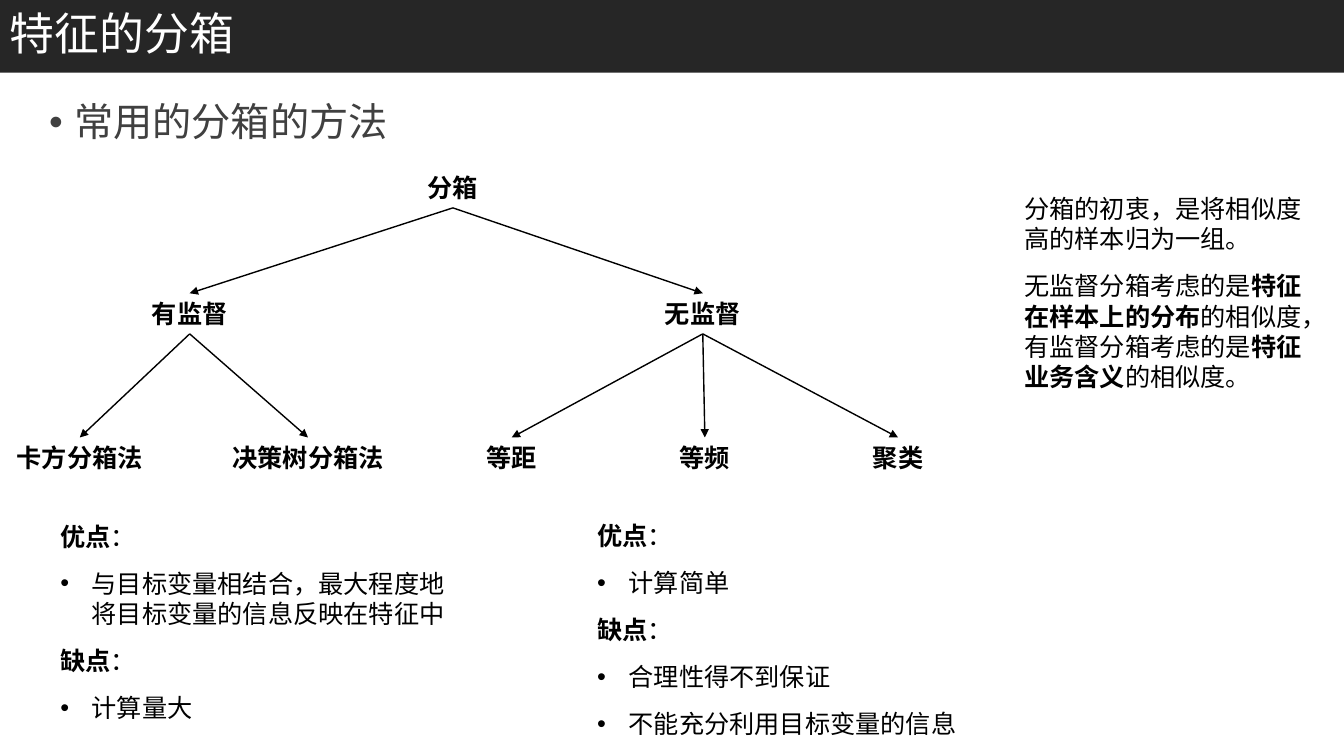
from lxml import etree
from pptx import Presentation
from pptx.dml.color import RGBColor
from pptx.enum.shapes import MSO_CONNECTOR, MSO_SHAPE
from pptx.enum.text import MSO_ANCHOR, MSO_AUTO_SIZE, PP_ALIGN
from pptx.oxml.ns import qn
from pptx.util import Pt

STRAIGHT = MSO_CONNECTOR.STRAIGHT
RECTANGLE = MSO_SHAPE.RECTANGLE
MIDDLE = MSO_ANCHOR.MIDDLE
FIT_SHAPE = MSO_AUTO_SIZE.SHAPE_TO_FIT_TEXT
LEFT, CENTER = PP_ALIGN.LEFT, PP_ALIGN.CENTER
BOTTOM_SITE, TOP_SITE = 2, 0

BODY_FONT, HEADING_FONT = "Calibri", "Noto Sans CJK SC"
BLACK, WHITE, BAND, GRAY = "000000", "FFFFFF", "262626", "404040"
LABEL_SIZE, LABEL_HEIGHT, LABEL_MARGINS = 18, 29, 15

TREE = ("分箱", 323.5, [
    ("有监督", 135.5, [("卡方分箱法", 57, []), ("决策树分箱法", 220, [])]),
    ("无监督", 502, [("等距", 365.5, []), ("等频", 503.5, []), ("聚类", 641.5, [])]),
])
LEVEL_TOPS = [119.5, 209.5, 312.5]

SUPERVISED = [("优点", ["与目标变量相结合，最大程度地将目标变量的信息反映在特征中"]),
              ("缺点", ["计算量大"])]
UNSUPERVISED = [("优点", ["计算简单"]),
                ("缺点", ["合理性得不到保证", "不能充分利用目标变量的信息"])]
REMARKS = [
    [("分箱的初衷，是将相似度高的样本归为一组。", False)],
    [("无监督分箱考虑的是", False), ("特征在样本上的分布", True),
     ("的相似度，有监督分箱考虑的是", False), ("特征业务含义", True), ("的相似度。", False)],
]


def color(value):
    """Turn a hex string into a colour."""
    return RGBColor.from_string(value)


def add_span(para, text, size=LABEL_SIZE, font=BODY_FONT, ink=BLACK, bold=False):
    """Append one formatted run to a paragraph."""
    span = para.add_run()
    span.text = text
    span.font.size = Pt(size)
    span.font.name = font
    span.font.bold = bold
    span.font.color.rgb = color(ink)
    etree.SubElement(span.font._element, qn("a:ea"), typeface=font)


def add_bullet(para, indent):
    """Give a paragraph a round bullet with a hanging indent."""
    properties = para._p.get_or_add_pPr()
    properties.set("marL", str(Pt(indent)))
    properties.set("indent", str(-Pt(indent)))
    etree.SubElement(properties, qn("a:buFont"), typeface="Arial")
    etree.SubElement(properties, qn("a:buChar"), char="•")


def add_text_box(page, left, top, width, height, wrap=True):
    """Add an empty text box and return it."""
    box = page.shapes.add_textbox(Pt(left), Pt(top), Pt(width), Pt(height))
    box.text_frame.word_wrap = wrap
    return box


def add_title(page, left, top, width, height):
    """Draw the dark title band."""
    band = page.shapes.add_shape(RECTANGLE, Pt(left), Pt(top), Pt(width), Pt(height))
    band.shadow.inherit = False
    band.fill.solid()
    band.fill.fore_color.rgb = color(BAND)
    band.line.fill.background()
    band.text_frame.vertical_anchor = MIDDLE
    para = band.text_frame.paragraphs[0]
    para.alignment = LEFT
    para.line_spacing = 0.9
    add_span(para, "特征的分箱", 32, HEADING_FONT, WHITE)


def add_heading(page, left, top, width, height):
    """Write the bulleted heading."""
    para = add_text_box(page, left, top, width, height).text_frame.paragraphs[0]
    para.line_spacing = 0.9
    add_bullet(para, 18)
    add_span(para, "常用的分箱的方法", 28, HEADING_FONT, GRAY)


def add_arrow(page, parent, child):
    """Join a parent label to a child label with an arrow."""
    arrow = page.shapes.add_connector(STRAIGHT, 0, 0, 0, 0)
    arrow.begin_connect(parent, BOTTOM_SITE)
    arrow.end_connect(child, TOP_SITE)
    arrow.line.width = Pt(1)
    arrow.line.color.rgb = color(BLACK)
    etree.SubElement(arrow.line._get_or_add_ln(), qn("a:tailEnd"), type="triangle")
    etree.SubElement(arrow._element.spPr, qn("a:effectLst"))


def add_tree(page, node, level=0):
    """Draw a node, its children and the arrows between them."""
    name, middle, children = node
    width = LABEL_SIZE * len(name) + LABEL_MARGINS
    label = add_text_box(page, middle - width / 2, LEVEL_TOPS[level],
                         width, LABEL_HEIGHT, wrap=False)
    label.text_frame.auto_size = FIT_SHAPE
    para = label.text_frame.paragraphs[0]
    para.alignment = CENTER
    add_span(para, name, bold=True)
    for child in children:
        add_arrow(page, label, add_tree(page, child, level + 1))
    return label


def add_paragraph(frame, first):
    """Return the next evenly spaced paragraph of a text frame."""
    para = frame.paragraphs[0] if first else frame.add_paragraph()
    para.space_before = Pt(0 if first else 6)
    para.space_after = Pt(6)
    return para


def add_comparison(page, left, top, width, height, sections):
    """List advantages and drawbacks of one family of methods."""
    frame = add_text_box(page, left, top, width, height).text_frame
    for index, (heading, points) in enumerate(sections):
        para = add_paragraph(frame, index == 0)
        add_span(para, heading, bold=True)
        add_span(para, "：")
        for point in points:
            para = add_paragraph(frame, False)
            add_bullet(para, 22.5)
            add_span(para, point)


def add_remarks(page, left, top, width, height):
    """Write the explanatory paragraphs beside the tree."""
    frame = add_text_box(page, left, top, width, height).text_frame
    for index, spans in enumerate(REMARKS):
        para = add_paragraph(frame, index == 0)
        for text, bold in spans:
            add_span(para, text, bold=bold)


def main():
    """Build the slide and save the deck."""
    deck = Presentation()
    deck.slide_width, deck.slide_height = Pt(960), Pt(540)
    page = deck.slides.add_slide(deck.slide_layouts[6])
    add_title(page, 0, 0, 960, 52)
    add_heading(page, 28, 70, 904, 424)
    add_tree(page, TREE)
    add_comparison(page, 36, 368.5, 304, 153, SUPERVISED)
    add_comparison(page, 419.5, 368, 304, 165, UNSUPERVISED)
    add_remarks(page, 724.5, 134.5, 220.5, 150.5)
    deck.save("out.pptx")


if __name__ == "__main__":
    main()
